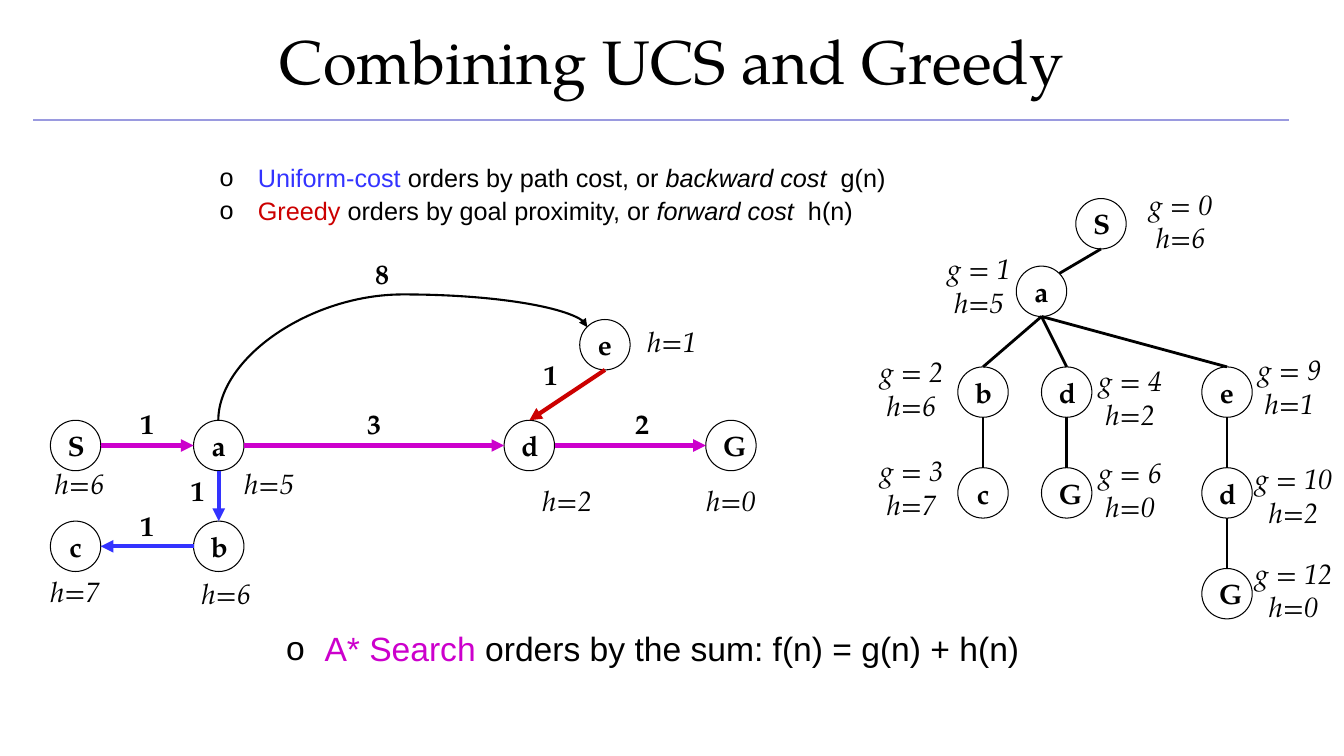
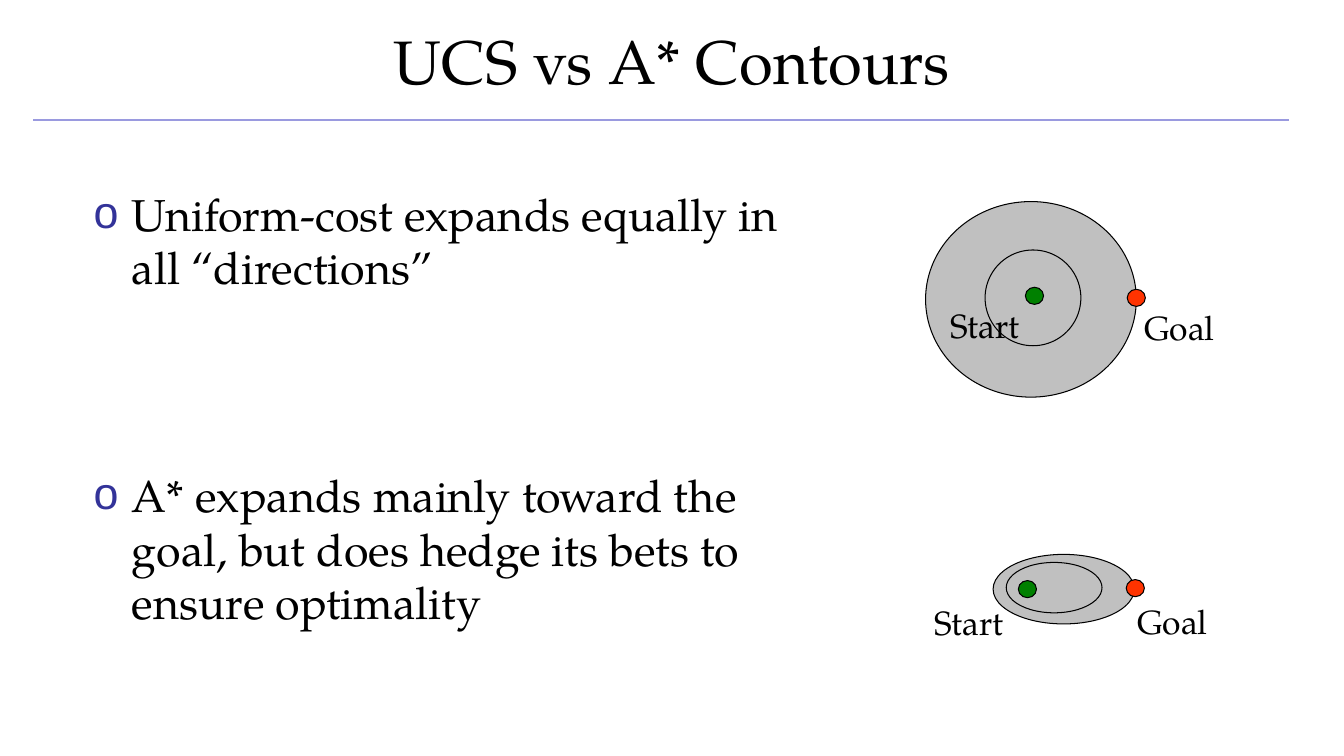
import pptx
import pptx.util
import pptx.dml.color
import pptx.enum.shapes
import pptx.enum.text
import pptx.oxml
import pptx.oxml.ns
import lxml.etree

Inches = pptx.util.Inches
Pt = pptx.util.Pt
OVAL = pptx.enum.shapes.MSO_SHAPE.OVAL
CURVE = pptx.enum.shapes.MSO_CONNECTOR.CURVE
STRAIGHT = pptx.enum.shapes.MSO_CONNECTOR.STRAIGHT
MIDDLE = pptx.enum.text.MSO_ANCHOR.MIDDLE
CENTER = pptx.enum.text.PP_ALIGN.CENTER
LEFT = pptx.enum.text.PP_ALIGN.LEFT
qn = pptx.oxml.ns.qn

SERIF = "TeX Gyre Pagella"
SANS = "Arial"
HUES = {
    "black": "000000", "white": "FFFFFF", "rule": "9A9ADF", "dot": "333399",
    "blue": "3333FF", "red": "CC0000", "purple": "CC00CC",
    "gray": "C0C0C0", "green": "008000", "orange": "FF3300",
}
RGB = {name: pptx.dml.color.RGBColor.from_string(hue) for name, hue in HUES.items()}


def write(frame, rows, size, font=SERIF, align=CENTER, dot=None, gap=0, pitch=None):
    frame.word_wrap = True
    for index, row in enumerate(rows):
        para = frame.paragraphs[0] if index == 0 else frame.add_paragraph()
        para.alignment = align
        para.space_before = Pt(gap if index else 0)
        if pitch:
            para.line_spacing = pitch
        if dot:
            props = para._p.get_or_add_pPr()
            props.set("marL", str(Inches(0.38)))
            props.set("indent", str(Inches(-0.38)))
            color = lxml.etree.SubElement(props, qn("a:buClr"))
            lxml.etree.SubElement(color, qn("a:srgbClr"), val=HUES[dot])
            lxml.etree.SubElement(props, qn("a:buFont"), typeface=SANS)
            lxml.etree.SubElement(props, qn("a:buChar"), char="o")
        for words, hue, style in row:
            run = para.add_run()
            run.text = words
            run.font.name = font
            run.font.size = Pt(size)
            run.font.color.rgb = RGB[hue]
            run.font.bold = style == "bold"
            run.font.italic = style == "italic"


def link(slide, start, end, hue, width, arrow=False, kind=STRAIGHT):
    line = slide.shapes.add_connector(kind, *[Inches(n) for n in (*start, *end)])
    line.line.color.rgb = RGB[hue]
    line.line.width = Pt(width)
    if arrow:
        lxml.etree.SubElement(line.line._get_or_add_ln(), qn("a:tailEnd"), type="triangle")
    lxml.etree.SubElement(line._element.spPr, qn("a:effectLst"))
    return line


deck = pptx.Presentation()
deck.slide_width = Inches(13.33)
deck.slide_height = Inches(7.5)
slides = []
for name in ("Combining UCS and Greedy", "UCS vs A* Contours"):
    slide = deck.slides.add_slide(deck.slide_layouts[5])
    link(slide, (0.33, 1.19), (12.78, 1.19), "rule", 1)
    title = slide.shapes.title
    title.left, title.top = Inches(0), Inches(-0.03)
    title.width, title.height = Inches(13.33), Inches(1.25)
    title.text_frame.vertical_anchor = MIDDLE
    write(title.text_frame, [[(name, "black", "")]], 44)
    slides.append(slide)
search, contours = slides

SIZE = 0.5
HALF = SIZE / 2
SLANT = HALF * 0.71
PORTS = {
    "top": (0, -HALF), "bottom": (0, HALF), "left": (-HALF, 0),
    "right": (HALF, 0), "corner": (SLANT, -SLANT),
}
nodes = {
    "S": (0.5, 4.17), "a": (1.92, 4.17), "d": (5, 4.17), "G": (7, 4.17),
    "b": (1.92, 5.17), "c": (0.5, 5.17), "e": (5.75, 3.17),
    "S tree": (10.67, 1.97), "a tree": (10.08, 2.64),
    "b tree": (9.5, 3.64), "c tree": (9.5, 4.64),
    "d tree": (10.33, 3.64), "G tree": (10.33, 4.64),
    "e tree": (11.92, 3.64), "d leaf": (11.92, 4.64), "G leaf": (11.92, 5.64),
}
for name, (left, top) in nodes.items():
    node = search.shapes.add_shape(OVAL, Inches(left), Inches(top), Inches(SIZE), Inches(SIZE))
    node.shadow.inherit = False
    node.fill.solid()
    node.fill.fore_color.rgb = RGB["white"]
    node.line.color.rgb = RGB["black"]
    node.line.width = Pt(0.75)
    node.text_frame.vertical_anchor = MIDDLE
    write(node.text_frame, [[(name[0], "black", "bold")]], 20)

edges = [
    ("S", "right", "a", "left", "purple"),
    ("a", "right", "d", "left", "purple"),
    ("d", "right", "G", "left", "purple"),
    ("e", "bottom", "d", "top", "red"),
    ("a", "bottom", "b", "top", "blue"),
    ("b", "left", "c", "right", "blue"),
    ("S tree", "bottom", "a tree", "corner", "black"),
    ("a tree", "bottom", "b tree", "top", "black"),
    ("a tree", "bottom", "d tree", "top", "black"),
    ("a tree", "bottom", "e tree", "top", "black"),
    ("b tree", "bottom", "c tree", "top", "black"),
    ("d tree", "bottom", "G tree", "top", "black"),
    ("e tree", "bottom", "d leaf", "top", "black"),
    ("d leaf", "bottom", "G leaf", "top", "black"),
]
for first, out, last, into, hue in edges:
    start, end = [
        [corner + HALF + shift for corner, shift in zip(nodes[name], PORTS[port])]
        for name, port in ((first, out), (last, into))
    ]
    path_graph = hue != "black"
    link(search, start, end, hue, 3 if path_graph else 2, path_graph)

arc = link(search, (3.53, 1.88), (4.46, 5.54), "black", 1.5, True, CURVE)
arc._element.spPr.find(qn("a:xfrm")).set("rot", str(270 * 60000))
shape = arc._element.spPr.find(qn("a:prstGeom"))
guides = shape.find(qn("a:avLst"))
if guides is None:
    guides = lxml.etree.SubElement(shape, qn("a:avLst"))
lxml.etree.SubElement(guides, qn("a:gd"), name="adj1", fmla="val 134900")

labels = [
    ("g = 0 h=6", 11.25, 1.81, 0.92), ("g = 1 h=5", 9.25, 2.45, 0.92),
    ("g = 2 h=6", 8.58, 3.47, 0.92), ("g = 3 h=7", 8.58, 4.45, 0.92),
    ("g = 4 h=2", 10.75, 3.56, 0.92), ("g = 6 h=0", 10.75, 4.47, 0.92),
    ("g = 9 h=1", 12.33, 3.45, 0.92), ("g = 10 h=2", 12.33, 4.53, 1),
    ("g = 12 h=0", 12.33, 5.47, 1),
    ("h=6", 0.33, 4.58, 0.92), ("h=5", 2.17, 4.58, 1), ("h=6", 1.83, 5.67, 0.83),
    ("h=7", 0.33, 5.65, 0.83), ("h=2", 5.25, 4.75, 0.75), ("h=0", 6.75, 4.75, 1),
    ("h=1", 6.25, 3.17, 0.83),
    ("1", 1.17, 3.98, 0.58), ("3", 3.42, 3.98, 0.58), ("2", 6.08, 3.98, 0.58),
    ("8", 3.58, 2.5, 0.42), ("1", 5.17, 3.5, 0.58), ("1", 1.67, 4.65, 0.58),
    ("1", 1.17, 5, 0.58),
]
for words, left, top, width in labels:
    height = 0.77 if "g" in words else 0.43
    box = search.shapes.add_textbox(Inches(left), Inches(top), Inches(width), Inches(height))
    write(box.text_frame, [[(words, "black", "italic" if "=" in words else "bold")]], 20)

box = search.shapes.add_textbox(Inches(2.74), Inches(6.23), Inches(7.61), Inches(0.46))
write(box.text_frame, [[
    ("A* Search", "purple", ""),
    (" orders by the sum: f(n) = g(n) + h(n)", "black", ""),
]], 24, SANS, LEFT, "black", pitch=0.9)
box.text_frame.paragraphs[0].space_before = Pt(4.6)

box = search.shapes.add_textbox(Inches(2.08), Inches(1.59), Inches(7.85), Inches(0.72))
write(box.text_frame, [
    [("Uniform-cost ", "blue", ""), ("orders by path cost, or ", "black", ""),
     ("backward cost  ", "black", "italic"), ("g(n)", "black", "")],
    [("Greedy ", "red", ""), ("orders by goal proximity, or ", "black", ""),
     ("forward cost  ", "black", "italic"), ("h(n)", "black", "")],
], 18, SANS, LEFT, "black", 4.6, 0.9)

box = contours.shapes.add_textbox(Inches(0.83), Inches(1.8), Inches(7.33), Inches(4.95))
write(box.text_frame, [
    [("Uniform-cost expands equally in all “directions”", "black", "")],
    [("A* expands mainly toward the goal, but does hedge its bets to ensure optimality",
      "black", "")],
], 32, align=LEFT, dot="dot", gap=124)

ovals = [
    (9.18, 2, 2.09, 1.94, "gray"), (9.77, 2.48, 0.95, 0.95, None),
    (10.17, 2.85, 0.18, 0.17, "green"), (11.18, 2.87, 0.18, 0.17, "orange"),
    (9.85, 5.5, 1.4, 0.69, "gray"), (9.98, 5.58, 0.95, 0.5, None),
    (10.1, 5.76, 0.18, 0.17, "green"), (11.17, 5.75, 0.18, 0.17, "orange"),
]
for *place, hue in ovals:
    oval = contours.shapes.add_shape(OVAL, *[Inches(n) for n in place])
    oval.shadow.inherit = False
    oval.line.color.rgb = RGB["black"]
    oval.line.width = Pt(0.75)
    if hue:
        oval.fill.solid()
        oval.fill.fore_color.rgb = RGB[hue]
    else:
        oval.fill.background()

for words, left, top in (("Start", 9.33, 2.98), ("Goal", 11.25, 3),
                         ("Start", 9.17, 5.92), ("Goal", 11.18, 5.91)):
    box = contours.shapes.add_textbox(Inches(left), Inches(top), Inches(1), Inches(0.5))
    write(box.text_frame, [[(words, "black", "")]], 24, align=LEFT)

deck.save("out.pptx")
